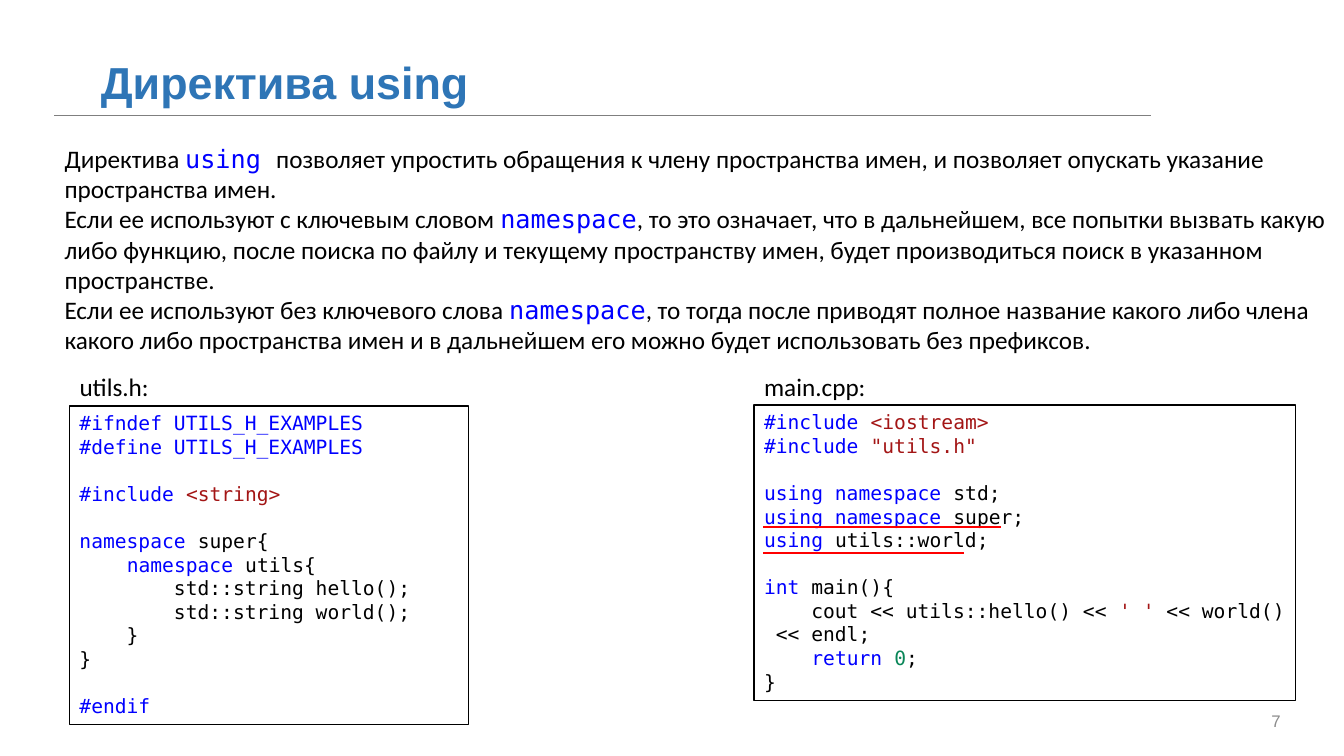
from lxml import etree
from pptx import Presentation
from pptx.dml.color import RGBColor
from pptx.enum.shapes import MSO_CONNECTOR as Connector, MSO_SHAPE as Shape
from pptx.enum.text import MSO_ANCHOR as Anchor, MSO_AUTO_SIZE as AutoSize, PP_ALIGN as Align
from pptx.oxml.ns import qn
from pptx.util import Inches, Pt

BLACK, BLUE, RED, GREEN = "000000", "0000FF", "A31515", "098658"
SANS, MONO = "Calibri", "DejaVu Sans Mono"
NBSP = chr(160)
CODE_LEADING = 16.85

TITLE = "Директива using"
# A paragraph is a list of (text, colour) runs; blue words are code keywords.
EXPLANATION = [
    [("Директива ", BLACK), ("using ", BLUE),
     ("позволяет упростить обращения к члену пространства имен, и позволяет опускать "
      "указание пространства имен.", BLACK)],
    [("Если ее используют с ключевым словом ", BLACK), ("namespace", BLUE),
     (", то это означает, что в дальнейшем, все попытки вызвать какую либо функцию, после "
      "поиска по файлу и текущему пространству имен, будет производиться поиск в указанном "
      "пространстве.", BLACK)],
    [("Если ее используют без ключевого слова ", BLACK), ("namespace", BLUE),
     (", то тогда после приводят полное название какого либо члена какого либо пространства "
      "имен и в дальнейшем его можно будет использовать без префиксов.", BLACK)],
]
# Blocks of code lines; one line of space separates the blocks.
UTILS_CODE = [
    [[("#ifndef UTILS_H_EXAMPLES", BLUE)],
     [("#define UTILS_H_EXAMPLES", BLUE)]],
    [[("#include ", BLUE), ("<string>", RED)]],
    [[("namespace", BLUE), (" super{", BLACK)],
     [("    ", BLACK), ("namespace ", BLUE), ("utils{", BLACK)],
     [("        std::string hello();", BLACK)],
     [("        std::string world();", BLACK)],
     [("    }", BLACK)],
     [("}", BLACK)]],
    [[("#endif", BLUE)]],
]
MAIN_CODE = [
    [[("#include ", BLUE), ("<iostream>", RED)],
     [("#include ", BLUE), ('"utils.h"', RED)]],
    [[("using namespace ", BLUE), ("std;", BLACK)],
     [("using namespace", BLUE), (" super;", BLACK)],
     [("using ", BLUE), ("utils::world;", BLACK)]],
    [[("int", BLUE), (" main(){", BLACK)],
     [("    cout << utils::hello() << ", BLACK), ("' '", RED),
      (" << world() << endl;", BLACK)],
     [("    ", BLACK), ("return ", BLUE), ("0", GREEN), (";", BLACK)],
     [("}", BLACK)]],
]
# File name, code, left, top, width, height, label width
FILES = [
    ("utils.h:", UTILS_CODE, 0.69, 4.03, 3.96, 3.16, 1.02),
    ("main.cpp:", MAIN_CODE, 7.48, 4.02, 5.37, 2.93, 1.22),
]
# Left, right, height on the slide, colour, weight
RULES = [
    (0.54, 11.42, 1.14, "7F7F7F", 0.5),
    (7.57, 9.93, 5.23, "FF0000", 1.5),
    (7.57, 9.56, 5.49, "FF0000", 1.5),
]


def color(value):
    return RGBColor.from_string(value)


def add_text(paragraph, text, size=18, font=SANS, fill=BLACK, bold=False):
    run = paragraph.add_run()
    run.text = text
    run.font.size, run.font.name, run.font.bold = Pt(size), font, bold
    run.font.color.rgb = color(fill)


def place(shape, left, top, width, height):
    shape.left, shape.top = Inches(left), Inches(top)
    shape.width, shape.height = Inches(width), Inches(height)


def next_paragraph(frame, first):
    return frame.paragraphs[0] if first else frame.add_paragraph()


def add_box(slide, left, top, width, height):
    return slide.shapes.add_textbox(*map(Inches, (left, top, width, height)))


def add_explanation(body):
    place(body, 0.54, 1.37, 12.79, 2.22)
    frame = body.text_frame
    frame.auto_size = AutoSize.NONE
    for index, runs in enumerate(EXPLANATION):
        paragraph = next_paragraph(frame, index == 0)
        paragraph.space_before = Pt(0)
        properties = paragraph._p.get_or_add_pPr()
        properties.set("marL", "0")
        properties.set("indent", "0")
        etree.SubElement(properties, qn("a:buNone"))
        for text, fill in runs:
            add_text(paragraph, text, font=MONO if fill == BLUE else SANS, fill=fill)


def add_file(slide, name, code, left, top, width, height, label_width):
    panel = slide.shapes.add_shape(Shape.RECTANGLE, *map(Inches, (left, top, width, height)))
    panel.shadow.inherit = False
    panel.fill.solid()
    panel.fill.fore_color.rgb = color("FFFFFF")
    panel.line.color.rgb = color(BLACK)
    panel.line.width = Pt(1)
    frame = panel.text_frame
    frame.word_wrap, frame.vertical_anchor = True, Anchor.TOP
    for block_index, block in enumerate(code):
        for line_index, runs in enumerate(block):
            paragraph = next_paragraph(frame, block_index == line_index == 0)
            paragraph.alignment = Align.LEFT
            paragraph.line_spacing = Pt(CODE_LEADING)
            if block_index and line_index == 0:
                paragraph.space_before = Pt(CODE_LEADING)
            for text, fill in runs:
                add_text(paragraph, text.replace(" ", NBSP), size=14, font=MONO, fill=fill)
    label = add_box(slide, left, 3.63, label_width, 0.4).text_frame
    label.word_wrap = False
    add_text(label.paragraphs[0], name)


def add_rule(slide, left, right, height, fill, weight):
    rule = slide.shapes.add_connector(
        Connector.STRAIGHT, Inches(left), Inches(height), Inches(right), Inches(height))
    rule.line.color.rgb = color(fill)
    rule.line.width = Pt(weight)
    etree.SubElement(rule._element.spPr, qn("a:effectLst"))


def main():
    presentation = Presentation()
    presentation.slide_width, presentation.slide_height = Inches(13.33), Inches(7.5)
    slide = presentation.slides.add_slide(presentation.slide_layouts[1])

    title = slide.shapes.title
    place(title, 0.9, 0.53, 8.45, 0.55)
    title.text_frame.auto_size = AutoSize.NONE
    title.text_frame.vertical_anchor = Anchor.MIDDLE
    heading = title.text_frame.paragraphs[0]
    heading.alignment = Align.LEFT
    add_text(heading, TITLE, size=32, font="Arial", fill="2E75B6", bold=True)

    add_explanation(slide.placeholders[1])
    for file in FILES:
        add_file(slide, *file)
    for rule in RULES:
        add_rule(slide, *rule)

    number = add_box(slide, 11.5, 6.95, 1.3, 0.4).text_frame
    number.word_wrap, number.vertical_anchor = True, Anchor.MIDDLE
    number.paragraphs[0].alignment = Align.RIGHT
    add_text(number.paragraphs[0], "7", size=12, font="Arial", fill="8C8C8C")

    presentation.save("out.pptx")


if __name__ == "__main__":
    main()
